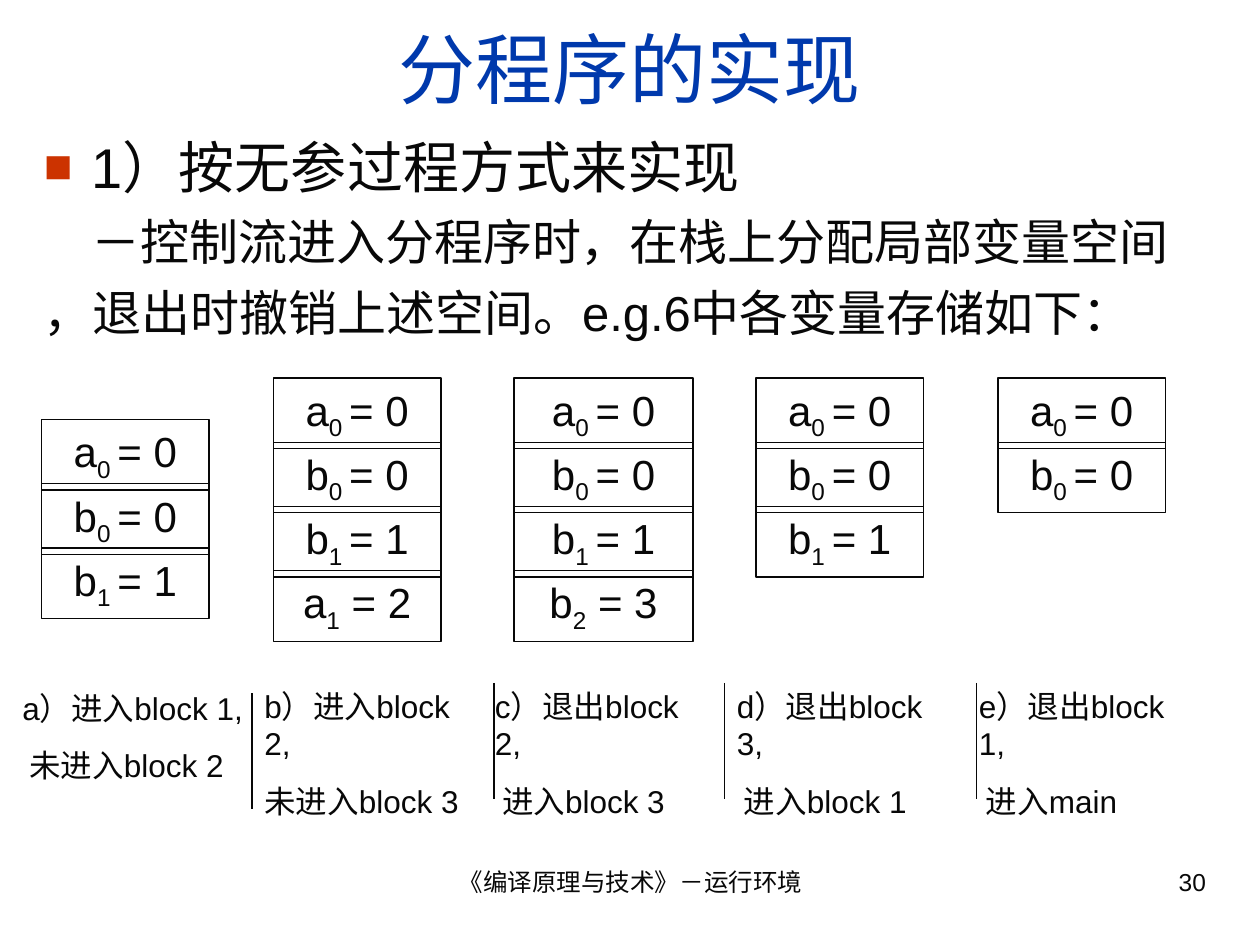
import lxml.etree
import pptx
import pptx.util
import pptx.dml.color
import pptx.enum.shapes
import pptx.enum.text
import pptx.oxml.ns

Inches = pptx.util.Inches
Pt = pptx.util.Pt
ALIGN = pptx.enum.text.PP_ALIGN
ANCHOR = pptx.enum.text.MSO_ANCHOR
AUTO_SIZE = pptx.enum.text.MSO_AUTO_SIZE
qn = pptx.oxml.ns.qn

FONT = "Arial"
COLORS = {"ink": "080808", "title": "0039AC", "bullet": "CC3300"}

TITLE = "分程序的实现"
BODY = [  # text, size, space before, bulleted
    ("1）按无参过程方式来实现", 32, 8, True),
    ("\t－控制流进入分程序时，在栈上分配局部变量空间", 28, 7, False),
    ("，退出时撤销上述空间。e.g.6中各变量存储如下：", 28, 7, False),
]
FOOTER = "《编译原理与技术》－运行环境"
PAGE_NUMBER = "30"

# Each variable is name, subscript, value
A0, B0, B1 = ("a", "0 ", "= 0"), ("b", "0 ", "= 0"), ("b", "1 ", "= 1")
A1, B2 = ("a", "1", " = 2"), ("b", "2", " = 3")
STACKS = [  # left, top, width, variables
    (0.33, 3.33, 1.33, [A0, B0, B1]),
    (2.17, 3, 1.33, [A0, B0, B1, A1]),
    (4.08, 3, 1.42, [A0, B0, B1, B2]),
    (6, 3, 1.33, [A0, B0, B1]),
    (7.92, 3, 1.33, [A0, B0]),
]
CELL_HEIGHT, CELL_STEP = 0.56, 0.51

CAPTIONS = [  # left, top, width, lines
    (0.08, 5.42, 2, ["a）进入block 1,", " 未进入block 2"]),
    (2, 5.4, 1.92, ["b）进入block 2,", "未进入block 3"]),
    (3.83, 5.4, 1.92, ["c）退出block 2,", " 进入block 3"]),
    (5.75, 5.4, 1.92, ["d）退出block 3,", " 进入block 1"]),
    (7.67, 5.4, 1.92, ["e）退出block 1,", " 进入main"]),
]
CAPTION_HEIGHT = 1.16
DIVIDERS = [(2, 5.5), (3.92, 5.42), (5.75, 5.42), (7.75, 5.42)]  # x, top
DIVIDER_LENGTH = 0.92


def rgb(name):
    return pptx.dml.color.RGBColor.from_string(COLORS[name])


def add_run(paragraph, text, size, color="ink"):
    run = paragraph.add_run()
    run.text = text
    run.font.name = FONT
    run.font.size = Pt(size)
    run.font.color.rgb = rgb(color)
    return run


def add_paragraphs(frame, count):
    """Return the frame's first paragraph followed by new ones, count in all."""
    return [frame.paragraphs[0]] + [frame.add_paragraph() for _ in range(count - 1)]


def add_text_frame(slide, left, top, width, height):
    box = slide.shapes.add_textbox(Inches(left), Inches(top), Inches(width), Inches(height))
    box.text_frame.word_wrap = True
    return box.text_frame


def add_square_bullet(paragraph):
    properties = paragraph._p.get_or_add_pPr()
    color = lxml.etree.SubElement(properties, qn("a:buClr"))
    lxml.etree.SubElement(color, qn("a:srgbClr"), val=COLORS["bullet"])
    lxml.etree.SubElement(properties, qn("a:buSzPct"), val="85000")
    lxml.etree.SubElement(properties, qn("a:buFont"), typeface=FONT)
    lxml.etree.SubElement(properties, qn("a:buChar"), char="■")


def add_title(slide):
    title = slide.shapes.title
    title.left, title.top = Inches(0.33), Inches(0.08)
    title.width, title.height = Inches(9.34), Inches(0.92)
    frame = title.text_frame
    frame.auto_size = AUTO_SIZE.NONE
    frame.vertical_anchor = ANCHOR.MIDDLE
    heading = frame.paragraphs[0]
    heading.alignment = ALIGN.CENTER
    add_run(heading, TITLE, 44, "title")


def add_body(slide):
    frame = add_text_frame(slide, 0.25, 1, 9.34, 2)
    paragraphs = add_paragraphs(frame, len(BODY))
    for paragraph, (text, size, space, bulleted) in zip(paragraphs, BODY):
        paragraph.space_before = Pt(space)
        properties = paragraph._p.get_or_add_pPr()
        properties.set("marL", str(Inches(0.38)))
        properties.set("indent", str(-Inches(0.38)))
        if bulleted:
            add_square_bullet(paragraph)
        add_run(paragraph, text, size)


def add_cell(slide, left, top, width, variable):
    cell = slide.shapes.add_shape(
        pptx.enum.shapes.MSO_SHAPE.RECTANGLE,
        Inches(left), Inches(top), Inches(width), Inches(CELL_HEIGHT))
    cell.shadow.inherit = False
    cell.fill.background()
    cell.line.color.rgb = rgb("ink")
    cell.line.width = Pt(0.75)
    frame = cell.text_frame
    frame.word_wrap = True
    frame.auto_size = AUTO_SIZE.SHAPE_TO_FIT_TEXT
    frame.vertical_anchor = ANCHOR.TOP
    paragraph = frame.paragraphs[0]
    paragraph.alignment = ALIGN.CENTER
    paragraph.space_before = Pt(15)
    name, subscript, value = variable
    add_run(paragraph, name, 24)
    add_run(paragraph, subscript, 24).font._element.set("baseline", "-25000")
    add_run(paragraph, value, 24)


def add_caption(slide, left, top, width, lines):
    frame = add_text_frame(slide, left, top, width, CAPTION_HEIGHT)
    frame.auto_size = AUTO_SIZE.SHAPE_TO_FIT_TEXT
    for paragraph, line in zip(add_paragraphs(frame, len(lines)), lines):
        paragraph.space_before = Pt(11.2)
        add_run(paragraph, line, 18)


def add_divider(slide, x, top):
    divider = slide.shapes.add_connector(
        pptx.enum.shapes.MSO_CONNECTOR.STRAIGHT,
        Inches(x), Inches(top), Inches(x), Inches(top + DIVIDER_LENGTH))
    divider.line.color.rgb = rgb("ink")
    divider.line.width = Pt(0.75)
    lxml.etree.SubElement(divider._element.spPr, qn("a:effectLst"))


def add_footer(slide, left, width, text, alignment):
    paragraph = add_text_frame(slide, left, 6.83, width, 0.52).paragraphs[0]
    paragraph.alignment = alignment
    add_run(paragraph, text, 14)


def main():
    deck = pptx.Presentation()
    deck.slide_width, deck.slide_height = Inches(10), Inches(7.5)
    slide = deck.slides.add_slide(deck.slide_layouts[5])
    add_footer(slide, 3.42, 3.17, FOOTER, ALIGN.CENTER)
    add_footer(slide, 7.17, 2.5, PAGE_NUMBER, ALIGN.RIGHT)
    add_title(slide)
    add_body(slide)
    for left, top, width, variables in STACKS:
        for row, variable in enumerate(variables):
            add_cell(slide, left, top + row * CELL_STEP, width, variable)
    for caption in CAPTIONS:
        add_caption(slide, *caption)
    for x, top in DIVIDERS:
        add_divider(slide, x, top)
    deck.save("out.pptx")


if __name__ == "__main__":
    main()
